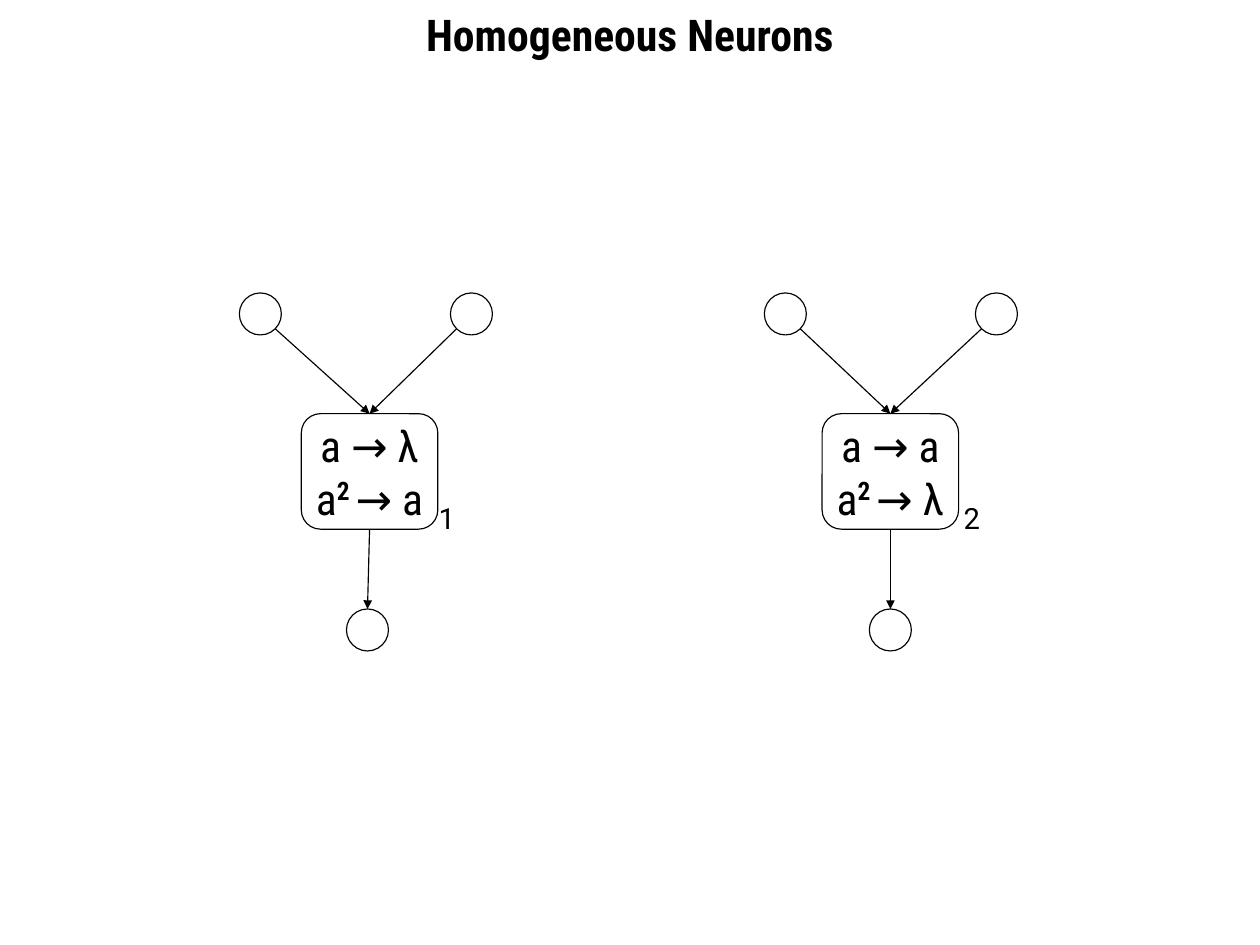
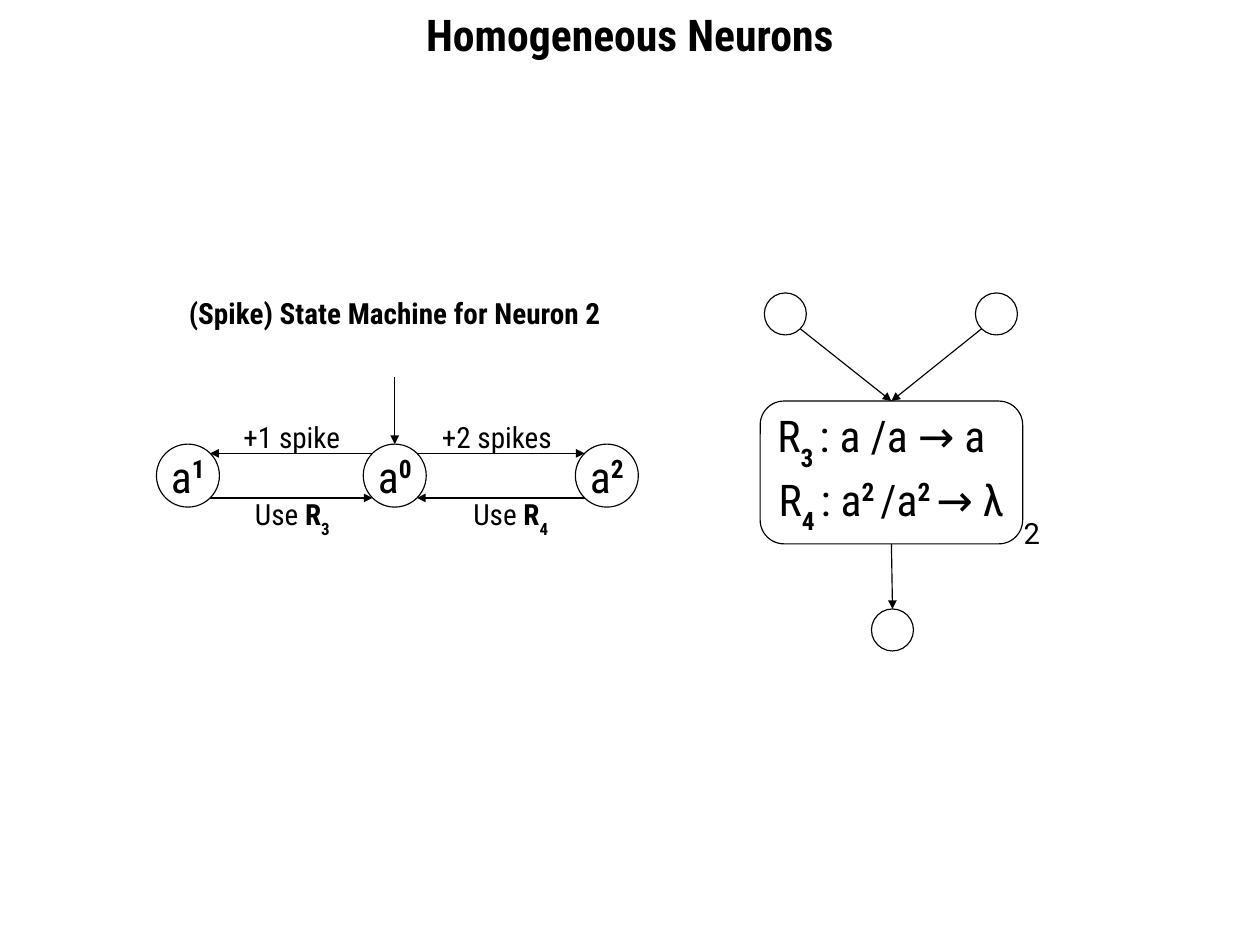
from dataclasses import dataclass

from lxml import etree
from pptx import Presentation
from pptx.dml.color import RGBColor
from pptx.enum.shapes import MSO_CONNECTOR, MSO_SHAPE
from pptx.enum.text import MSO_ANCHOR, MSO_AUTO_SIZE, PP_ALIGN
from pptx.oxml.ns import qn
from pptx.util import Inches, Pt

OVAL, ROUND = MSO_SHAPE.OVAL, MSO_SHAPE.ROUNDED_RECTANGLE
LINE = MSO_CONNECTOR.STRAIGHT
LEFT, MID = PP_ALIGN.LEFT, PP_ALIGN.CENTER
TOP, CENTRE = MSO_ANCHOR.TOP, MSO_ANCHOR.MIDDLE
FIXED, GROW = MSO_AUTO_SIZE.NONE, MSO_AUTO_SIZE.SHAPE_TO_FIT_TEXT


@dataclass(frozen=True)
class Theme:
    ink: RGBColor = RGBColor(0, 0, 0)
    paper: RGBColor = RGBColor(255, 255, 255)
    main: str = "Roboto Condensed"
    plain: str = "Roboto"
    big: int = 30
    small: int = 20
    rule: float = 0.79
    ring: float = 0.4
    state: float = 0.6


THEME = Theme()
WIDE, HIGH = 12, 9
HEAD = "Homogeneous Neurons"
DIAG = 0.5 ** 0.5
# Run marks: bold, raised bold, lowered bold
MARKS = {"*": None, "^": "33000", "_": "-33000"}


def apply(item, form):
    for name, value in form.items():
        setattr(item, name, value)


def write(frame, lines, size=THEME.big, face=THEME.main, bold=False,
          aligns=(MID, MID), **form):
    """Fill a frame; '|' parts the runs of a line, MARKS lead styled ones."""
    apply(frame, dict(margin_left=Inches(0.1), margin_right=Inches(0.1),
                      margin_top=Inches(0.05), margin_bottom=Inches(0.05),
                      **form))
    for i, (line, align) in enumerate(zip(lines, aligns)):
        para = frame.add_paragraph() if i else frame.paragraphs[0]
        para.alignment = align
        for part in line.split("|"):
            mark = part[0] if part[0] in MARKS else ""
            run = para.add_run()
            run.text = part[len(mark):]
            apply(run.font, dict(name=face, size=Pt(size),
                                 bold=bold or bool(mark)))
            run.font.color.rgb = THEME.ink
            if MARKS.get(mark):
                run.font._element.set("baseline", MARKS[mark])


def label(slide, x, y, w, h, text, **form):
    box = slide.shapes.add_textbox(*map(Inches, (x, y, w, h)))
    write(box.text_frame, [text], THEME.small, aligns=[LEFT],
          word_wrap=True, auto_size=GROW, **form)


def outline(slide, kind, x, y, w, h, lines=(), aligns=(MID, MID)):
    shape = slide.shapes.add_shape(kind, *map(Inches, (x, y, w, h)))
    shape.shadow.inherit = False
    shape.fill.background()
    shape.line.color.rgb = THEME.ink
    shape.line.width = Pt(THEME.rule)
    if lines:
        write(shape.text_frame, lines, aligns=aligns, word_wrap=False,
              vertical_anchor=CENTRE)


def arrow(slide, start, end):
    link = slide.shapes.add_connector(LINE, *map(Inches, (*start, *end)))
    link.line.color.rgb = THEME.ink
    link.line.width = Pt(THEME.rule)
    etree.SubElement(link.line._get_or_add_ln(), qn("a:tailEnd"),
                     type="triangle")
    etree.SubElement(link._element.spPr, qn("a:effectLst"))


def page(deck):
    """Add a slide with the shared title band."""
    slide = deck.slides.add_slide(deck.slide_layouts[5])
    slide.background.fill.solid()
    slide.background.fill.fore_color.rgb = THEME.paper
    title = slide.shapes.title
    apply(title, dict(left=0, top=Inches(0.02), width=Inches(WIDE),
                      height=Inches(0.65)))
    write(title.text_frame, [HEAD], bold=True, word_wrap=True,
          auto_size=FIXED, vertical_anchor=TOP)
    return slide


def neuron(slide, x, y, cell, out, tag, lines, aligns=(MID, MID)):
    """Two inputs, a rule cell and one output, from the corner (x, y)."""
    ring, span, drop = THEME.ring, 2.01, 3.01
    dx, dy, w, h = cell
    left, top = x + dx, y + dy
    mid, foot = left + w / 2, top + h
    outline(slide, ROUND, left, top, w, h, lines, aligns)
    # Inputs
    reach = ring / 2 * DIAG
    for at, side in ((x, 1), (x + span, -1)):
        outline(slide, OVAL, at, y, ring, ring)
        arrow(slide, (at + ring / 2 + side * reach, y + ring / 2 + reach),
              (mid, top))
    # Output
    outline(slide, OVAL, x + out, y + drop, ring, ring)
    arrow(slide, (mid, foot), (x + out + ring / 2, y + drop))
    # Number
    dx, number = tag
    label(slide, x + dx, foot - 0.32, 0.39, 0.47, number, face=THEME.plain)


def machine(slide, x, y):
    """State machine with its heading, from the corner (x, y)."""
    size = THEME.state
    row, half = y + 1.47, size / 2
    reach = half * DIAG
    spots = [x, x + 1.97, x + 3.99]
    label(slide, x + 0.21, y, 4.2, 0.47,
          "(Spike) State Machine for Neuron 2", bold=True)
    # States
    for at, power in zip(spots, "102"):
        outline(slide, OVAL, at, row, size, size, [f"a|^{power}"])
    hub = spots[1] + half
    arrow(slide, (hub, y + 0.83), (hub, row))
    # Moves out of the middle state and back
    high, low = row + half - reach, row + half + reach
    sides = ((spots[0], -1, "+1 spike", 0.73, "Use |*R|_3", 0.84),
             (spots[2], 1, "+2 spikes", 2.62, "Use |*R|_4", 2.92))
    for at, side, gain, shift, use, inset in sides:
        near, far = hub + side * reach, at + half - side * reach
        arrow(slide, (near, high), (far, high))
        arrow(slide, (far, low), (near, low))
        label(slide, x + shift, y + 1.18, 1.3, 0.47, gain)
        label(slide, x + inset, y + 1.92, 1.1, 0.53, use)


def main():
    deck = Presentation()
    deck.slide_width, deck.slide_height = Inches(WIDE), Inches(HIGH)
    first, second, y = 2.28, 7.28, 2.79

    # Two neurons side by side
    slide = page(deck)
    neuron(slide, first, y, (0.59, 1.15, 1.3, 1.1), 1.02, (1.8, "1"),
           ["a → λ", "a|^2 |→ a"])
    neuron(slide, second, y, (0.55, 1.15, 1.3, 1.1), 1, (1.8, "2"),
           ["a → a", "a|^2 |→ λ"])

    # State machine beside its neuron
    slide = page(deck)
    machine(slide, 1.49, 2.76)
    neuron(slide, second, y, (-0.04, 1.03, 2.5, 1.36), 1.02, (2.37, "2"),
           ["R|_3 |: a /a → a", "R|_4 |: a|^2 |/a|^2 |→ λ"], (LEFT, MID))
    deck.save("out.pptx")


if __name__ == "__main__":
    main()
